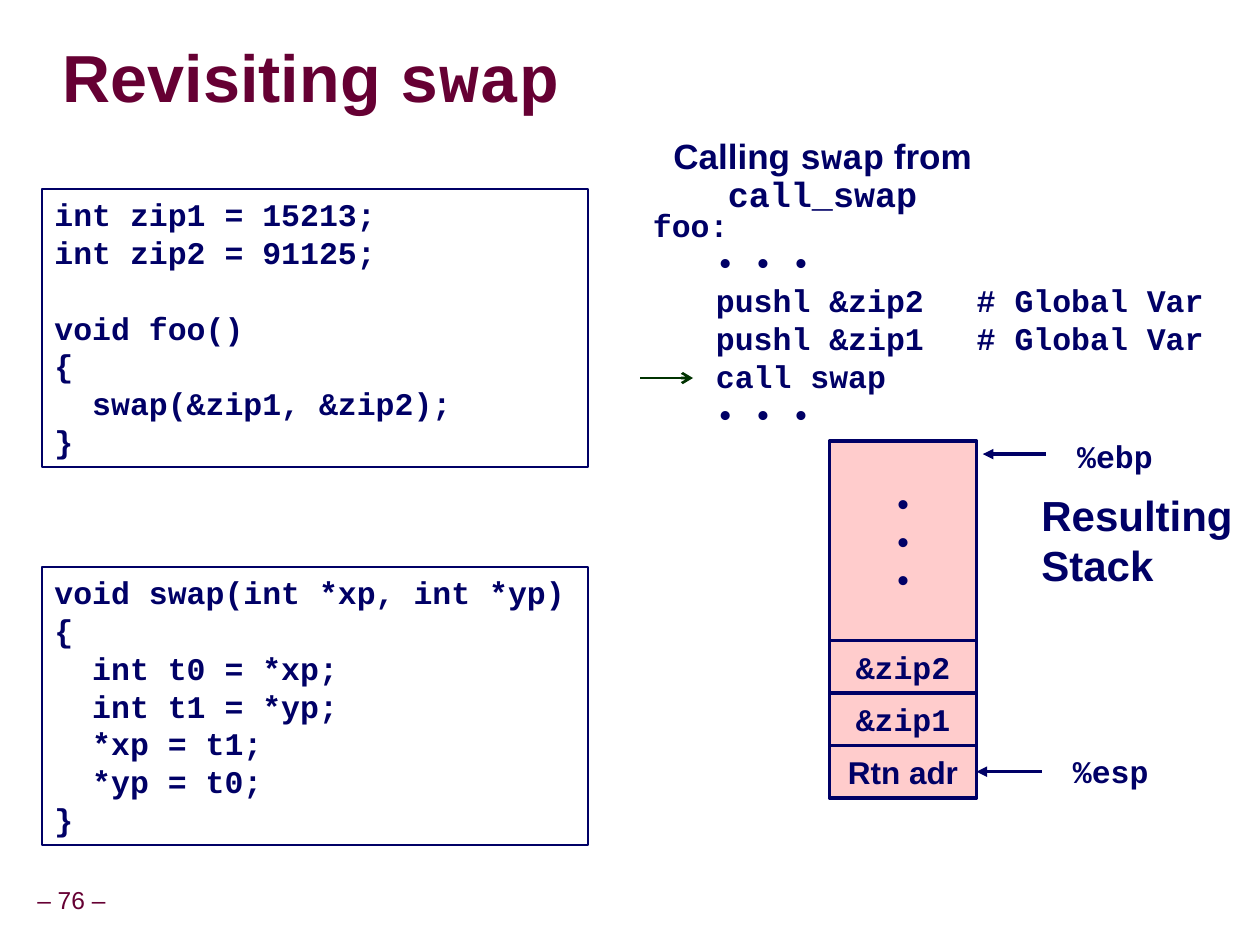
from lxml import etree
from pptx import Presentation
from pptx.dml.color import RGBColor
from pptx.enum.shapes import MSO_CONNECTOR, MSO_SHAPE
from pptx.enum.text import MSO_ANCHOR, MSO_AUTO_SIZE, PP_ALIGN
from pptx.oxml import parse_xml
from pptx.oxml.ns import nsdecls, qn
from pptx.util import Inches, Pt

LEFT, CENTER = PP_ALIGN.LEFT, PP_ALIGN.CENTER
TOP, MIDDLE = MSO_ANCHOR.TOP, MSO_ANCHOR.MIDDLE
RECTANGLE, STRAIGHT = MSO_SHAPE.RECTANGLE, MSO_CONNECTOR.STRAIGHT
NAVY = RGBColor(0x00, 0x00, 0x66)
MAROON = RGBColor(0x66, 0x00, 0x33)
GREEN = RGBColor(0x00, 0x33, 0x00)
PINK = RGBColor(0xFF, 0xCC, 0xCC)
SANS, MONO = "Arial", "Courier New"

# Grid of 120 columns by 90 rows, twelve to the inch
presentation = Presentation()
presentation.slide_width, presentation.slide_height = Inches(10), Inches(7.5)
UNIT = presentation.slide_width // 120
slide = presentation.slides.add_slide(presentation.slide_layouts[6])


def write(shape, lines, size=18, color=NAVY, bold=True, align=LEFT, anchor=TOP,
          wrap=False, insets=(0.1, 0.05), spacing=None, tabs=()):
    """Fill a shape with lines, each a list of (text, font name) runs."""
    frame = shape.text_frame
    frame.word_wrap = wrap
    frame.auto_size = MSO_AUTO_SIZE.NONE
    frame.vertical_anchor = anchor
    frame.margin_left = frame.margin_right = Inches(insets[0])
    frame.margin_top = frame.margin_bottom = Inches(insets[1])
    for index, runs in enumerate(lines):
        paragraph = frame.add_paragraph() if index else frame.paragraphs[0]
        paragraph.alignment = align
        if spacing:
            paragraph.line_spacing = spacing
        if tabs:
            tab_list = etree.SubElement(paragraph._p.get_or_add_pPr(), qn("a:tabLst"))
            for stop in tabs:
                etree.SubElement(tab_list, qn("a:tab"), pos=str(Inches(stop)), algn="l")
        paragraph.font.size = Pt(size)
        for text, font_name in runs:
            run = paragraph.add_run()
            run.text = text
            run.font.name, run.font.size, run.font.bold = font_name, Pt(size), bold
            run.font.color.rgb = color


def add_arrow(start, end, color, width, head):
    """Draw a straight arrow between two grid points."""
    arrow = slide.shapes.add_connector(STRAIGHT, *[int(v * UNIT) for v in start + end])
    arrow.line.color.rgb = color
    arrow.line.width = Pt(width)
    etree.SubElement(arrow.line._get_or_add_ln(), qn("a:tailEnd"), type=head)
    etree.SubElement(arrow._element.spPr, qn("a:effectLst"))
    return arrow


# Title with a soft text shadow
title = slide.shapes.add_textbox(6 * UNIT, 4 * UNIT, 77 * UNIT, int(7.5 * UNIT))
write(title, [[("Revisiting ", SANS), ("swap", MONO)]], size=38, color=MAROON,
      anchor=MIDDLE, wrap=True, insets=(0, 0), spacing=0.87)
for run in title.text_frame.paragraphs[0].runs:
    run.font.fill._xPr.find(qn("a:solidFill")).addnext(parse_xml(
        f'<a:effectLst {nsdecls("a")}><a:outerShdw blurRad="38100" dist="38100" '
        'dir="2700000"><a:srgbClr val="C0C0C0"/></a:outerShdw></a:effectLst>'))

# Framed source code
FOO_CODE = """int zip1 = 15213;
int zip2 = 91125;

void foo()
{
  swap(&zip1, &zip2);
}"""
SWAP_CODE = """void swap(int *xp, int *yp)
{
  int t0 = *xp;
  int t1 = *yp;
  *xp = t1;
  *yp = t0;
}"""
for row, code in ((18, FOO_CODE), (54, SWAP_CODE)):
    frame_box = slide.shapes.add_shape(
        RECTANGLE, 4 * UNIT, row * UNIT, 52 * UNIT, int(26.5 * UNIT))
    frame_box.shadow.inherit = False
    frame_box.fill.background()
    frame_box.line.color.rgb = NAVY
    frame_box.line.width = Pt(1)
    write(frame_box, [[(line, MONO)] if line else [] for line in code.split("\n")],
          wrap=True)

# Assembly listing with its heading and current-line arrow
ASSEMBLY = ["foo:", "\t• • •", "\tpushl &zip2\t# Global Var",
            "\tpushl &zip1\t# Global Var", "\tcall swap", "\t• • •"]
listing = slide.shapes.add_textbox(61 * UNIT, 19 * UNIT, 56 * UNIT, 23 * UNIT)
write(listing, [[(line, MONO)] for line in ASSEMBLY], wrap=True,
      tabs=(0.5, 1.62, 2.57))
heading = slide.shapes.add_textbox(
    int(63.6 * UNIT), int(12.7 * UNIT), int(29.5 * UNIT), 8 * UNIT)
write(heading, [[("Calling ", SANS), ("swap", MONO), (" from ", SANS),
                 ("call_swap", MONO)]],
      size=20, align=CENTER, wrap=True, insets=(0, 0.05), spacing=0.9)
add_arrow((61, 36), (66, 36), GREEN, 1.5, "arrow")

# Stack cells, from the top down
STACK = [(19, ["•"] * 3, SANS), (5, ["&zip2"], MONO),
         (5, ["&zip1"], MONO), (5, ["Rtn adr"], SANS)]
row = 42
for height, lines, font_name in STACK:
    cell = slide.shapes.add_shape(
        RECTANGLE, 79 * UNIT, row * UNIT, 14 * UNIT, height * UNIT)
    cell.shadow.inherit = False
    cell.fill.solid()
    cell.fill.fore_color.rgb = PINK
    cell.line.color.rgb = NAVY
    cell.line.width = Pt(2)
    write(cell, [[(line, font_name)] for line in lines], align=CENTER, anchor=MIDDLE)
    row += height

# Register pointers; the last cell drawn is the one %esp points to
add_arrow((99.6, 43.25), (93.6, 43.25), NAVY, 2, "triangle")
esp_arrow = add_arrow((99.2, 73.5), (93, 73.5), NAVY, 2, "triangle")
esp_arrow.end_connect(cell, 3)

# Stack labels
LABELS = [(101.4, 41, 10, 5, ["%ebp"], MONO, 18),
          (101, 71, 10, 5, ["%esp"], MONO, 18),
          (98, 46, 20.6, 11, ["Resulting", "Stack"], SANS, 24)]
for column, row, width, height, lines, font_name, size in LABELS:
    label = slide.shapes.add_textbox(
        int(column * UNIT), row * UNIT, int(width * UNIT), height * UNIT)
    write(label, [[(line, font_name)] for line in lines], size=size)

# Page number
page = slide.shapes.add_textbox(int(2.8 * UNIT), 84 * UNIT, 8 * UNIT, int(3.7 * UNIT))
write(page, [[("– 76 –", SANS)]], size=14, color=MAROON, bold=False, align=CENTER,
      anchor=MIDDLE, insets=(0.05, 0.05), spacing=0.9)

presentation.save("out.pptx")
